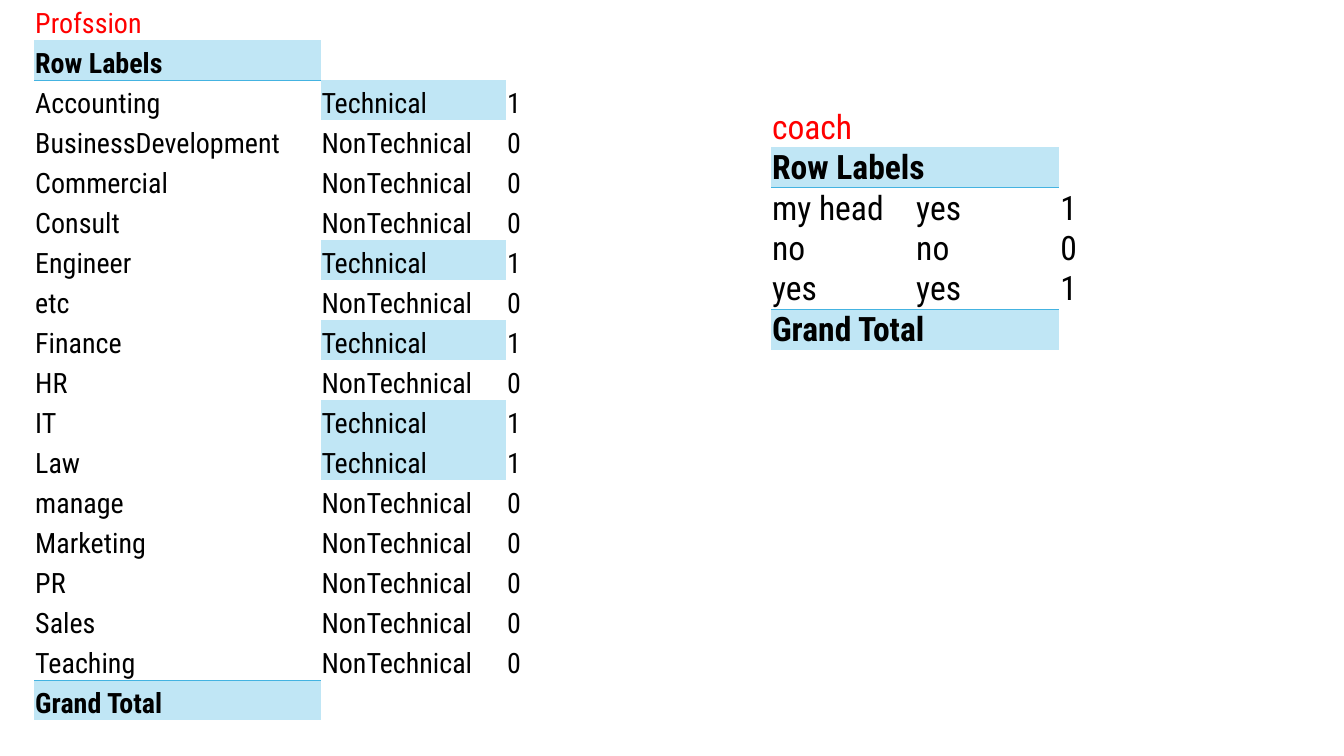
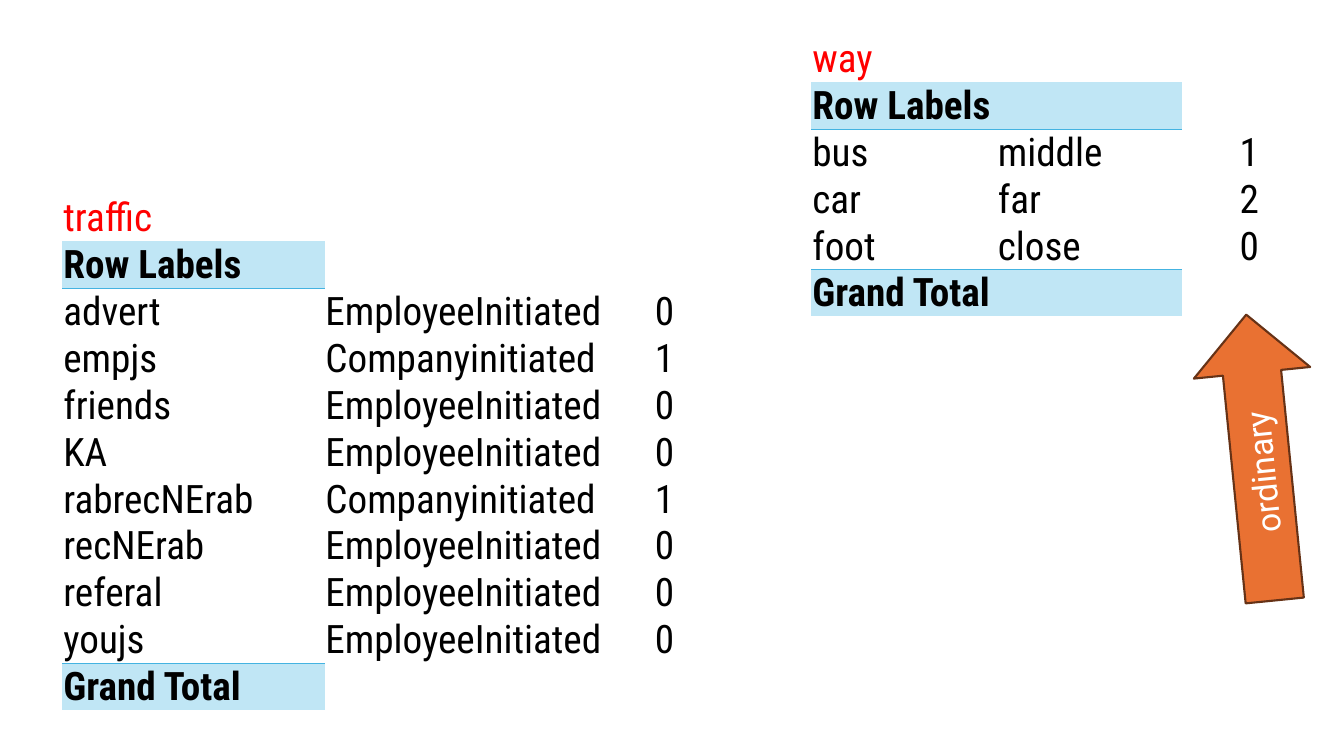
from lxml.etree import SubElement
from pptx import Presentation
from pptx.dml.color import RGBColor
from pptx.enum.shapes import MSO_SHAPE
from pptx.enum.text import MSO_ANCHOR, PP_ALIGN
from pptx.oxml import parse_xml
from pptx.oxml.ns import nsdecls, qn
from pptx.util import Pt

TABLE_FONT = "Roboto Condensed"
BLACK, RED, WHITE = "000000", "FF0000", "FFFFFF"
BAND, RULE = "C0E6F5", "44B3E1"
ORANGE, BROWN = "E97132", "663216"
NO_STYLE = "{2D5ABB26-0587-4C30-8999-92F81FD0307C}"


def color(hex_code):
    return RGBColor.from_string(hex_code)


def add_coding_table(page, title, rows, left, top, widths, row_height, size,
                     band_columns=1, marked="", value_align=PP_ALIGN.LEFT):
    """Category table: title, header band, coded rows and total band."""
    grid = [(title, "", ""), ("Row Labels", "", ""), *rows, ("Grand Total", "", "")]
    last = len(grid) - 1
    frame = page.shapes.add_table(len(grid), len(widths), Pt(left), Pt(top),
                                  Pt(sum(widths)), Pt(row_height * len(grid)))
    table = frame.table
    table.first_row = table.horz_banding = False
    table._tbl.tblPr.find(qn("a:tableStyleId")).text = NO_STYLE
    for column, width in zip(table.columns, widths):
        column.width = Pt(width)

    for row_index, texts in enumerate(grid):
        table.rows[row_index].height = Pt(row_height)
        is_band = row_index in (1, last)
        for column_index, text in enumerate(texts):
            cell = table.cell(row_index, column_index)
            cell.margin_left = cell.margin_right = cell.margin_top = Pt(0.7)
            cell.margin_bottom = 0
            cell.vertical_anchor = MSO_ANCHOR.BOTTOM
            in_band = is_band and column_index < band_columns
            if in_band or (marked and text == marked):
                cell.fill.solid()
                cell.fill.fore_color.rgb = color(BAND)
            else:
                cell.fill.background()

            # Thin rule under the header and above the total
            if row_index in (1, last - 1) and column_index < band_columns:
                cell._tc.get_or_add_tcPr().insert(0, parse_xml(
                    f'<a:lnB {nsdecls("a")} w="6350"><a:solidFill>'
                    f'<a:srgbClr val="{RULE}"/></a:solidFill></a:lnB>'))

            if text:
                cell.text_frame.text = text
                para = cell.text_frame.paragraphs[0]
                para.alignment = value_align if column_index == 2 else PP_ALIGN.LEFT
                font = para.runs[0].font
                font.name, font.size, font.bold = TABLE_FONT, Pt(size), is_band
                font.color.rgb = color(RED if row_index == 0 else BLACK)
        if is_band and band_columns > 1:
            table.cell(row_index, 0).merge(table.cell(row_index, band_columns - 1))


deck = Presentation()
deck.slide_width, deck.slide_height = Pt(960), Pt(540)
blank = deck.slide_layouts[6]

# Slide 1: profession and coach
page = deck.slides.add_slide(blank)
professions = ["Accounting", "BusinessDevelopment", "Commercial", "Consult",
               "Engineer", "etc", "Finance", "HR", "IT", "Law", "manage",
               "Marketing", "PR", "Sales", "Teaching"]
technical = {"Accounting", "Engineer", "Finance", "IT", "Law"}
profession_rows = [(name, "Technical", "1") if name in technical
                   else (name, "NonTechnical", "0") for name in professions]
add_coding_table(page, "Profssion", profession_rows, 24.5, 0,
                 [204.5, 132.5, 199], 28.6, 20, marked="Technical")

coach_rows = [("my head", "yes", "1"), ("no", "no", "0"), ("yes", "yes", "1")]
add_coding_table(page, "coach", coach_rows, 550.8, 76.3,
                 [103, 103, 103], 28.8, 24, band_columns=2)

# Slide 2: way and traffic
page = deck.slides.add_slide(blank)
way_rows = [("bus", "middle", "1"), ("car", "far", "2"), ("foot", "close", "0")]
add_coding_table(page, "way", way_rows, 579.6, 25.2, [132.5, 132.5, 55.4],
                 33.4, 28, band_columns=2, value_align=PP_ALIGN.RIGHT)

sources = ["advert", "empjs", "friends", "KA", "rabrecNErab", "recNErab",
           "referal", "youjs"]
company_sources = {"empjs", "rabrecNErab"}
traffic_rows = [(name, "Companyinitiated", "1") if name in company_sources
                else (name, "EmployeeInitiated", "0") for name in sources]
add_coding_table(page, "traffic", traffic_rows, 44.6, 139,
                 [187.2, 235.4, 128.2], 33.4, 28)

# Arrow that marks the ordinal values
arrow = page.shapes.add_shape(MSO_SHAPE.RIGHT_ARROW, Pt(797.8), Pt(285.1),
                              Pt(205.2), Pt(83.5))
arrow.rotation = 264.3
arrow.shadow.inherit = False
arrow.fill.solid()
arrow.fill.fore_color.rgb = color(ORANGE)
arrow.line.color.rgb = color(BROWN)
arrow.line.width = Pt(1.5)
arrow.text_frame.text = "ordinary"
arrow.text_frame.vertical_anchor = MSO_ANCHOR.MIDDLE
para = arrow.text_frame.paragraphs[0]
para.alignment = PP_ALIGN.CENTER
font = para.runs[0].font
font.name, font.size = "Roboto", Pt(24)
font.color.rgb = color(WHITE)

deck.save("out.pptx")
